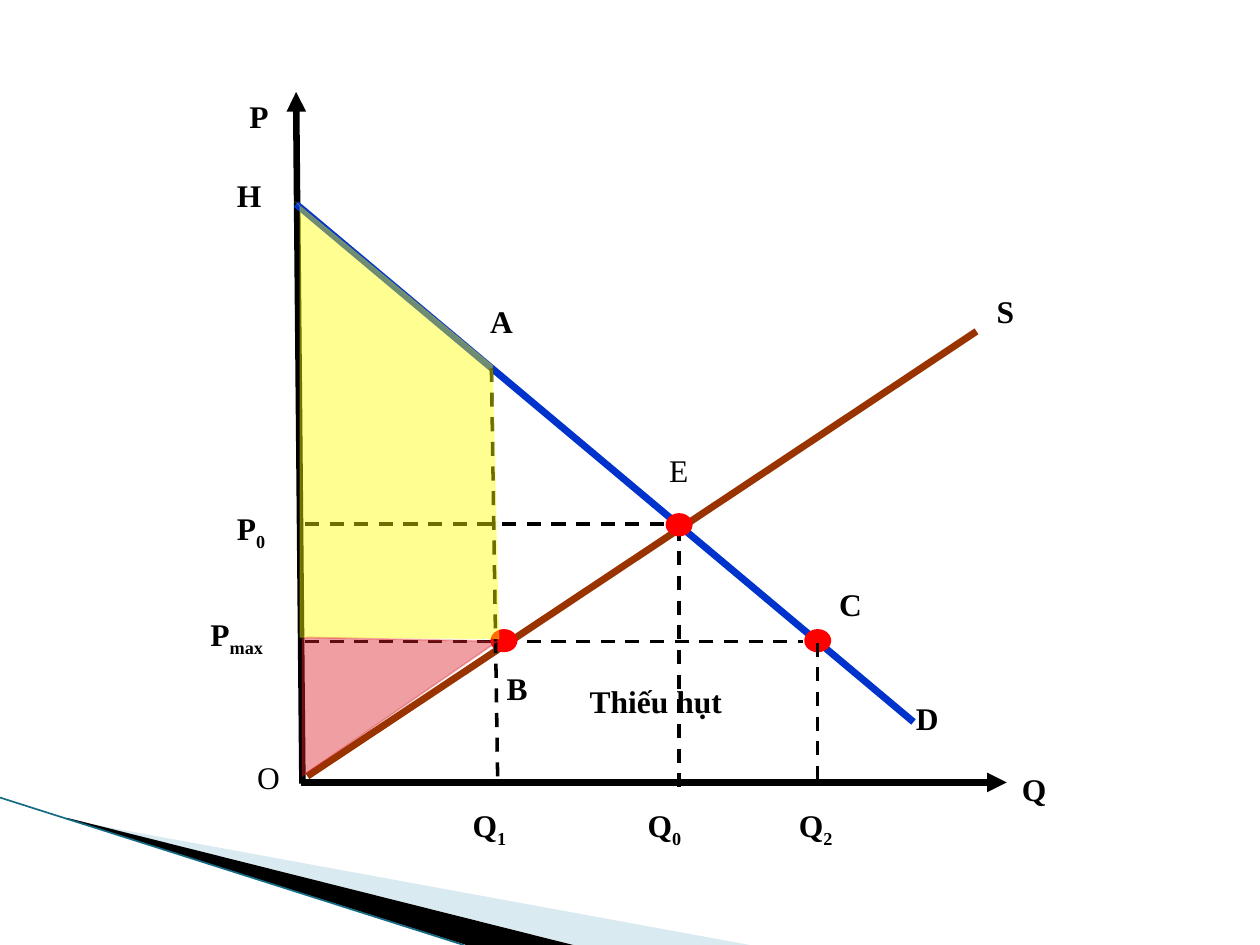
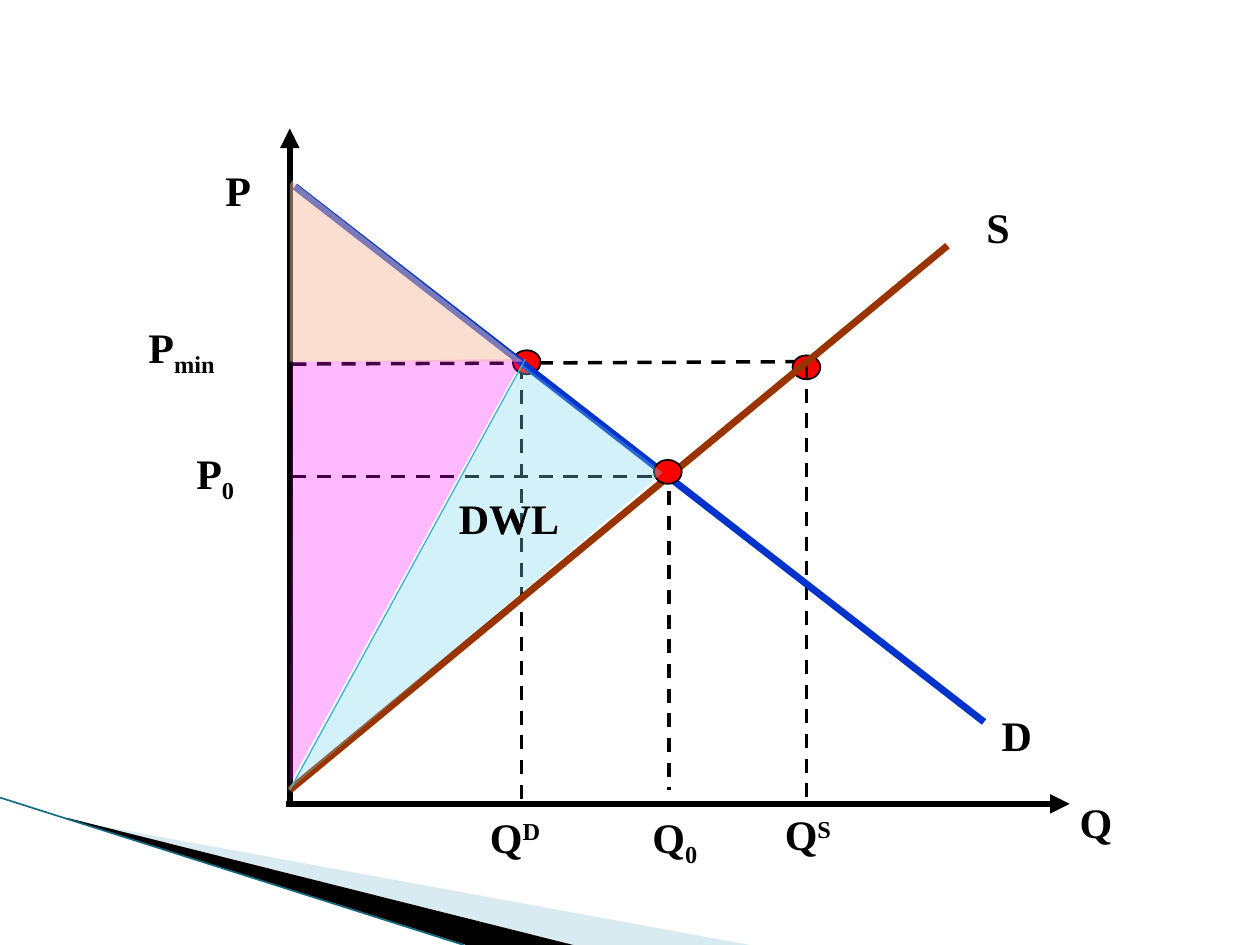
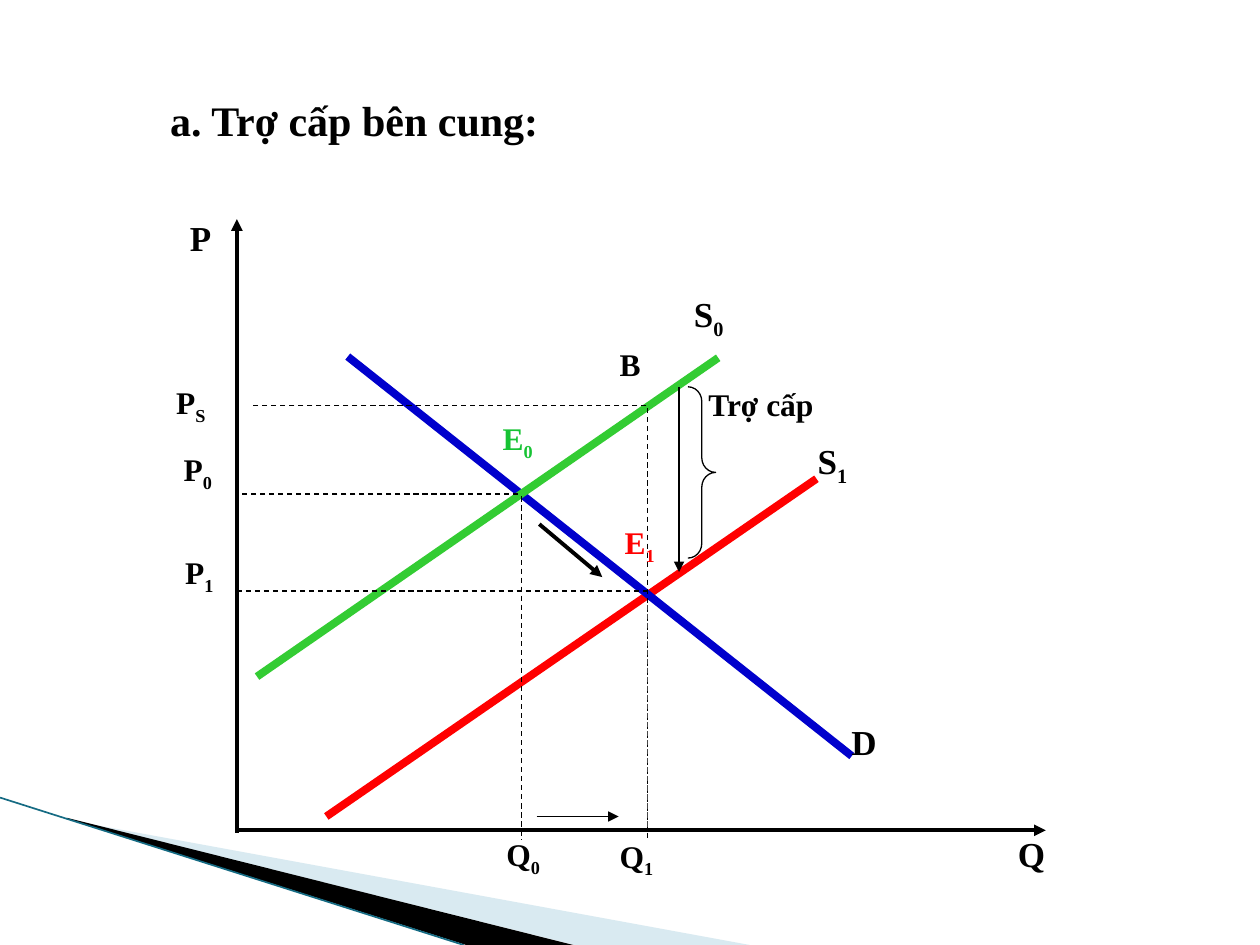
from lxml.etree import SubElement
from pptx import Presentation
from pptx.dml.color import RGBColor
from pptx.enum.dml import MSO_LINE
from pptx.enum.shapes import MSO_CONNECTOR, MSO_SHAPE
from pptx.enum.text import MSO_ANCHOR, MSO_AUTO_SIZE, PP_ALIGN
from pptx.oxml.ns import qn
from pptx.util import Cm, Pt

HUES = {
    "black": "000000", "red": "FF0000", "brown": "993300", "blue": "0033CC",
    "navy": "0000CC", "green": "33CC33", "leaf": "17C334", "gray": "464646",
    "yellow": "FFFF00", "rose": "DA1F28", "teal": "2DA2BF", "aqua": "78D6EA",
    "pink": "FF00FF", "peach": "F7C1A4", "mist": "A0CBDC", "edge": "156B83",
}
FONT = "Times New Roman"
INCH = 2.54
SUB, SUP = -25, 30


def size(*nums):
    return [Cm(num * INCH) for num in nums]


def tint(fill, hue, alpha=None):
    fill.solid()
    fill.fore_color.rgb = RGBColor.from_string(HUES[hue])
    if alpha:
        color = fill._xPr.find(qn("a:solidFill"))[0]
        SubElement(color, qn("a:alpha")).set("val", str(alpha * 1000))


class Deck:
    def __init__(self):
        self.prs = Presentation()
        self.prs.slide_width, self.prs.slide_height = size(10, 7.5)

    def begin(self, layout=6, points=18, tall=0.38, inset=(0.1, 0.05)):
        self.slide = self.prs.slides.add_slide(self.prs.slide_layouts[layout])
        self.shapes = self.slide.shapes
        self.points, self.tall, self.inset = points, tall, inset

    def words(self, para, text, points, hue="black", bold=True, base=0):
        run = para.add_run()
        run.text = text
        font = run.font
        font.name, font.size, font.bold = FONT, Pt(points), bold
        font.color.rgb = RGBColor.from_string(HUES[hue])
        if base:
            run._r.get_or_add_rPr().set("baseline", str(base * 1000))

    def title(self, text, *box):
        shape = self.shapes.title
        shape.left, shape.top, shape.width, shape.height = size(*box)
        frame = shape.text_frame
        frame.auto_size = MSO_AUTO_SIZE.NONE
        frame.vertical_anchor = MSO_ANCHOR.TOP
        frame.margin_left = Cm(0.68 * INCH)
        para = frame.paragraphs[0]
        para.alignment = PP_ALIGN.JUSTIFY
        para.line_spacing = 1.5
        self.words(para, text, 24)

    def label(self, x, y, wide, text, mark="", base=SUB, hue="black",
              bold=True, points=None, center=False):
        frame = self.shapes.add_textbox(*size(x, y, wide, self.tall)).text_frame
        frame.word_wrap = True
        side, end = size(*self.inset)
        frame.margin_left = frame.margin_right = side
        frame.margin_top = frame.margin_bottom = end
        para = frame.paragraphs[0]
        para.alignment = PP_ALIGN.CENTER if center else PP_ALIGN.LEFT
        points = points or self.points
        self.words(para, text, points, hue, bold)
        if mark:
            self.words(para, mark, points, hue, bold, base)

    def labels(self, *rows):
        for row in rows:
            self.label(*row)

    def line(self, *ends, hue="black", wide=2, dash=False, tip=False):
        link = self.shapes.add_connector(MSO_CONNECTOR.STRAIGHT, *size(*ends))
        tint(link.line.fill, hue)
        link.line.width = Pt(wide)
        if dash:
            link.line.dash_style = MSO_LINE.DASH
        if tip:
            SubElement(link.line.fill._xPr, qn("a:tailEnd")).set("type", "triangle")
        SubElement(link._element.spPr, qn("a:effectLst"))
        return link

    def guides(self, *rows, wide=2):
        for row in rows:
            self.line(*row, wide=wide, dash=True)

    def axes(self, *rows, wide=3.75):
        for row in rows:
            self.line(*row, wide=wide, tip=True)

    def dots(self, wide, tall, edge, *spots):
        for x, y in spots:
            dot = self.shapes.add_shape(MSO_SHAPE.OVAL, *size(x, y, wide, tall))
            dot.shadow.inherit = False
            tint(dot.fill, "red")
            tint(dot.line.fill, edge)
            dot.line.width = Pt(1)

    def brace(self, *box):
        shape = self.shapes.add_shape(MSO_SHAPE.RIGHT_BRACE, *size(*box))
        shape.shadow.inherit = False
        shape.adjustments[0] = 0.53
        shape.fill.background()
        tint(shape.line.fill, "black")
        shape.line.width = Pt(0.75)

    def area(self, hue, alpha, *spots, edge=None):
        first, *rest = [size(*spot) for spot in spots]
        form = self.shapes.build_freeform(*first)
        form.add_line_segments(rest, close=True)
        shape = form.convert_to_shape()
        shape.shadow.inherit = False
        tint(shape.fill, hue, alpha)
        if edge:
            tint(shape.line.fill, hue, edge)
            shape.line.width = Pt(1)
        else:
            shape.line.fill.background()
        return shape

    def bands(self):
        parts = [
            self.area("mist", 40, (0.55, 6.51), (5.95, 7.5), (4.56, 7.5), (0.55, 6.5)),
            self.area("black", None, (0.53, 6.49), (4.55, 7.5), (3.7, 7.5), (0.54, 6.5)),
            self.line(0, 6.33, 3.68, 7.5, hue="edge", wide=0.95),
        ]
        for part in parts:
            self.prs.slide_master.shapes.element.append(part._element)


def ceiling(deck):
    deck.begin(inset=(0.07, 0.04))
    deck.axes((2.4, 6.22, 2.35, 0.73), (2.39, 6.21, 7.99, 6.21))
    deck.line(2.44, 6.16, 7.75, 2.63, hue="brown", wide=4)
    deck.line(2.35, 1.62, 7.25, 5.73, hue="blue", wide=4)
    deck.guides((2.42, 4.16, 5.28, 4.16), (5.39, 4.18, 5.39, 6.25),
                (2.42, 5.09, 6.37, 5.09))
    deck.dots(0.2, 0.17, "red", (5.29, 4.08), (3.9, 5), (6.39, 5))
    deck.guides((3.9, 2.92, 3.95, 6.2), (6.49, 5.1, 6.49, 6.25))
    deck.labels(
        (8.04, 6.07, 0.42, "Q"), (1.91, 0.73, 0.37, "P"),
        (7.84, 2.28, 0.35, "S"), (7.2, 5.51, 0.4, "D"),
        (1.81, 4, 0.47, "P", "0"), (1.6, 4.84, 0.74, "P", "max"),
        (3.82, 2.36, 0.48, "A"), (3.95, 5.27, 0.39, "B"),
        (6.59, 4.6, 0.48, "C"), (1.81, 1.36, 0.48, "H"),
    )
    for x, mark in ((5.07, "0"), (3.68, "1"), (6.27, "2")):
        deck.label(x, 6.36, 0.52, "Q", mark)
    deck.label(5.24, 3.54, 0.37, "E", bold=False)
    deck.label(1.97, 5.98, 0.4, "O", bold=False)
    deck.label(4.21, 5.37, 1.99, "Thiếu hụt", center=True)
    deck.area("yellow", 43, (2.38, 1.63), (2.38, 5.06), (3.96, 5.07),
              (3.91, 2.9), (2.34, 1.6), edge=11)
    deck.area("rose", 43, (2.44, 5.06), (3.95, 5.09), (2.4, 6.16),
              (2.4, 5.07), edge=31)


def floor(deck):
    deck.begin(points=24, tall=0.5)
    deck.guides((2.32, 2.89, 6.49, 2.87), (4.14, 2.9, 4.14, 6.42))
    deck.dots(0.22, 0.19, "black", (6.29, 2.82), (4.07, 2.78))
    deck.guides((6.4, 2.89, 6.4, 6.4))
    deck.axes((2.3, 6.39, 2.3, 1.02), (2.27, 6.38, 8.49, 6.38))
    deck.line(2.3, 6.27, 7.52, 1.95, hue="brown", wide=4)
    deck.line(2.34, 1.48, 7.81, 5.73, hue="blue", wide=4)
    deck.guides((2.32, 3.78, 5.36, 3.78), (5.31, 3.9, 5.31, 6.27))
    deck.dots(0.22, 0.19, "black", (5.19, 3.65))
    deck.line(2.3, 6.27, 4.17, 2.85, hue="teal", wide=0.75)
    deck.area("aqua", 33, (2.28, 6.28), (4.14, 2.89), (5.26, 3.75))
    deck.labels(
        (1.08, 2.5, 1.5, "P", "min"), (1.46, 3.5, 0.77, "P", "0"),
        (3.79, 6.39, 0.81, "Q", "D", SUP), (6.13, 6.37, 0.69, "Q", "S", SUP),
        (5.08, 6.39, 0.62, "Q", "0"), (8.47, 6.27, 0.5, "Q"),
        (1.69, 1.26, 0.44, "P"), (7.73, 1.55, 0.43, "S"),
        (7.85, 5.58, 0.48, "D"),
    )
    deck.label(3.42, 3.86, 1.24, "DWL", center=True)
    deck.area("pink", 27, (2.32, 2.87), (4.15, 2.85), (2.3, 6.22))
    deck.area("peach", 50, (2.3, 1.47), (2.3, 2.87), (4.15, 2.87),
              (2.31, 1.43), (2.32, 1.43))


def grant(deck):
    deck.begin(layout=5, tall=0.62)
    deck.title("a. Trợ cấp bên cung:", 0.67, 0.5, 8.53, 0.71)
    deck.label(4.86, 4.1, 0.64, "E", "1", hue="red")
    deck.line(6.48, 3.8, 2.59, 6.48, hue="red", wide=4.5)
    deck.axes((4.28, 4.16, 4.78, 4.58), (1.88, 6.59, 8.3, 6.59),
              (1.88, 6.61, 1.88, 1.74), wide=2.25)
    deck.line(2.76, 2.83, 6.76, 6, hue="navy", wide=4.5)
    deck.line(5.7, 2.84, 2.04, 5.37, hue="green", wide=4.5)
    deck.guides((4.11, 3.92, 1.92, 3.92), (4.14, 3.94, 4.14, 6.67),
                (5.13, 3.22, 1.99, 3.22), (5.14, 3.24, 5.14, 6.67),
                (1.88, 4.69, 5.14, 4.69), wide=0.75)
    deck.line(5.14, 4.8, 5.14, 6.59, hue="gray", wide=0.75, dash=True)
    deck.axes((5.39, 3.07, 5.39, 4.54), (4.26, 6.48, 4.91, 6.48), wide=0.75)
    deck.brace(5.46, 3.07, 0.22, 1.36)
    for x, y, text, mark in ((6.39, 3.44, "S", "1"), (5.41, 2.27, "S", "0"),
                             (7.98, 6.56, "Q", ""), (1.41, 1.67, "P", ""),
                             (6.66, 5.67, "D", "")):
        deck.label(x, y, 0.7, text, mark, points=20)
    deck.labels(
        (3.92, 6.58, 0.69, "Q", "0"), (4.82, 6.59, 0.75, "Q", "1"),
        (1.36, 3.52, 0.76, "P", "0"), (1.37, 4.34, 0.71, "P", "1"),
        (1.3, 2.99, 0.76, "P", "S"), (4.82, 2.69, 0.76, "B"),
    )
    deck.label(3.89, 3.28, 0.76, "E", "0", hue="leaf")
    deck.label(5.51, 3.01, 1.06, "Trợ cấp", center=True)


def main():
    deck = Deck()
    for build in (ceiling, floor, grant):
        build(deck)
    deck.bands()
    deck.prs.save("out.pptx")


if __name__ == "__main__":
    main()
